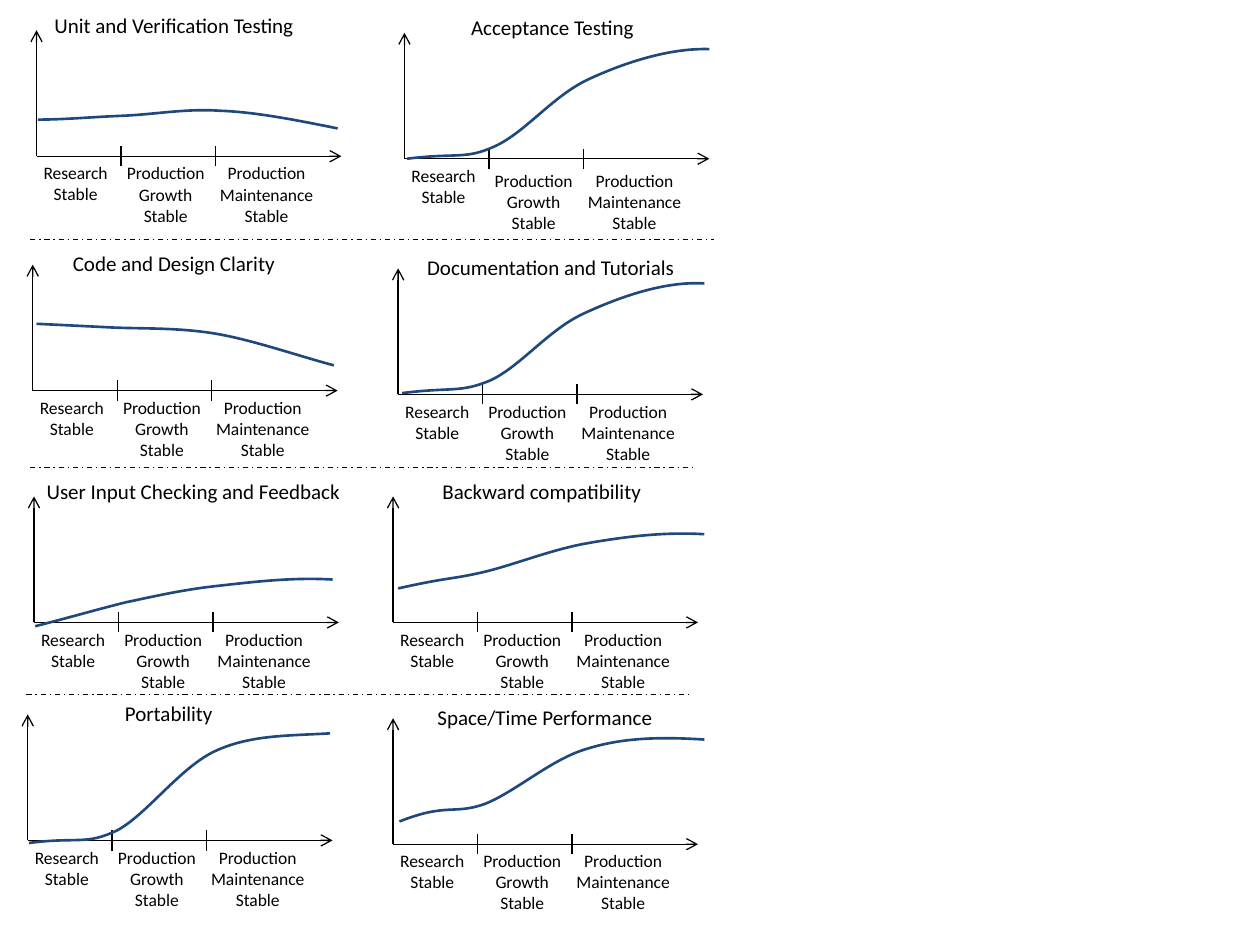
import pptx
import pptx.dml.color
import pptx.enum.dml
import pptx.enum.shapes
import pptx.enum.text
import pptx.oxml.ns
import pptx.oxml.xmlchemy
import pptx.util

# Content: one entry per chart, lengths in inches.
# origin = axis crossing; title = left, top, width; curve = start, then Bezier triples
CHARTS = [
    {"name": "Unit and Verification Testing", "origin": (0.29, 1.24), "title": (0.32, 0.05, 2.12),
     "curve": [(0.3, 0.95), (0.51, 0.95), (0.72, 0.93), (0.96, 0.92), (1.23, 0.91), (1.47, 0.86),
               (1.75, 0.88), (2.04, 0.89), (2.38, 0.96), (2.68, 1.02)]},
    {"name": "Acceptance Testing", "origin": (3.21, 1.26), "title": (3.63, 0.07, 1.51),
     "production_drop": 0.04,
     "curve": [(3.23, 1.26), (3.63, 1.21), (3.69, 1.27), (3.93, 1.16), (4.17, 1.05), (4.39, 0.76),
               (4.67, 0.63), (4.95, 0.5), (5.31, 0.38), (5.63, 0.39)]},
    {"name": "Code and Design Clarity", "origin": (0.26, 3.1), "title": (0.47, 1.94, 1.82),
     "curve": [(0.29, 2.57), (0.49, 2.58), (0.7, 2.59), (0.9, 2.6), (1.14, 2.61), (1.43, 2.6),
               (1.72, 2.65), (2.01, 2.7), (2.35, 2.82), (2.65, 2.9)]},
    {"name": "Documentation and Tutorials", "origin": (3.16, 3.13), "title": (3.28, 1.97, 2.18),
     "curve": [(3.19, 3.12), (3.59, 3.07), (3.65, 3.12), (3.89, 3.02), (4.13, 2.91), (4.35, 2.62),
               (4.63, 2.49), (4.91, 2.36), (5.27, 2.23), (5.59, 2.25)]},
    {"name": "User Input Checking and Feedback", "origin": (0.27, 4.94), "title": (0.26, 3.75, 2.55),
     "curve": [(0.28, 4.97), (0.63, 4.88), (0.76, 4.84), (1, 4.78), (1.24, 4.73), (1.45, 4.68),
               (1.73, 4.65), (2, 4.62), (2.32, 4.58), (2.64, 4.6)]},
    {"name": "Backward compatibility", "origin": (3.12, 4.94), "title": (3.4, 3.75, 1.8),
     "curve": [(3.16, 4.67), (3.56, 4.58), (3.58, 4.6), (3.84, 4.54), (4.09, 4.48), (4.38, 4.36),
               (4.67, 4.31), (4.96, 4.26), (5.27, 4.22), (5.59, 4.24)]},
    {"name": "Portability", "origin": (0.22, 6.67), "title": (0.89, 5.51, 0.9),
     "curve": [(0.23, 6.69), (0.62, 6.64), (0.68, 6.71), (0.93, 6.59), (1.17, 6.46), (1.43, 6.09),
               (1.71, 5.96), (1.99, 5.83), (2.3, 5.84), (2.62, 5.82)]},
    {"name": "Space/Time Performance", "origin": (3.12, 6.7), "title": (3.36, 5.54, 1.93),
     "curve": [(3.17, 6.52), (3.55, 6.37), (3.6, 6.47), (3.85, 6.38), (4.1, 6.28), (4.38, 6.02),
               (4.67, 5.94), (4.96, 5.85), (5.27, 5.85), (5.59, 5.87)]},
]
# Phase labels: lines, left offset from the origin, width, height
PHASES = [
    (["Research", "Stable"], -0.05, 0.72, 0.44),
    (["Production", "Growth", "Stable"], 0.61, 0.83, 0.61),
    (["Production", "Maintenance", "Stable"], 1.35, 0.95, 0.61),
]
# Row separators: left, right, y
SEPARATORS = [(0.24, 5.67, 1.9), (0.24, 5.51, 3.71), (0.21, 5.47, 5.51)]

AXIS_WIDTH, AXIS_HEIGHT = 2.42, 1
TICKS, TICK_REACH = (0.67, 1.42), 0.08
TITLE_HEIGHT, TITLE_SIZE, LABEL_SIZE = 0.3, 12, 10
FONT = "Calibri"
COLORS = {"ink": "000000", "curve": "1F497D"}

Inches = pptx.util.Inches
qn = pptx.oxml.ns.qn
OxmlElement = pptx.oxml.xmlchemy.OxmlElement

presentation = pptx.Presentation()
presentation.slide_width, presentation.slide_height = Inches(10), Inches(7.5)
slide = presentation.slides.add_slide(presentation.slide_layouts[6])


def style_line(line, color, width):
    line.color.rgb = pptx.dml.color.RGBColor.from_string(COLORS[color])
    line.width = pptx.util.Pt(width)


def add_line(start, end, arrow=False, dash=None):
    connector = slide.shapes.add_connector(
        pptx.enum.shapes.MSO_CONNECTOR.STRAIGHT, *(Inches(value) for value in (*start, *end)))
    style_line(connector.line, "ink", 0.75)
    if dash:
        connector.line.dash_style = dash
    properties = connector._element.spPr
    if arrow:
        tail = OxmlElement("a:tailEnd")
        tail.set("type", "arrow")
        properties.find(qn("a:ln")).append(tail)
    properties.append(OxmlElement("a:effectLst"))


def add_text(lines, left, top, width, height, size):
    box = slide.shapes.add_textbox(*(Inches(value) for value in (left, top, width, height)))
    frame = box.text_frame
    frame.word_wrap = False
    frame.auto_size = pptx.enum.text.MSO_AUTO_SIZE.SHAPE_TO_FIT_TEXT
    frame.text = "\n".join(lines)
    for paragraph in frame.paragraphs:
        paragraph.alignment = pptx.enum.text.PP_ALIGN.CENTER
        paragraph.font.name = FONT
        paragraph.font.size = pptx.util.Pt(size)
        paragraph.font.color.rgb = pptx.dml.color.RGBColor.from_string(COLORS["ink"])


def add_curve(points):
    start, *controls = [(Inches(x), Inches(y)) for x, y in points]
    builder = slide.shapes.build_freeform(*start)
    builder.add_line_segments(controls, close=False)
    shape = builder.convert_to_shape()
    shape.shadow.inherit = False
    shape.fill.background()
    style_line(shape.line, "curve", 1.5)
    # Each three straight segments become one cubic Bezier segment
    segments = list(shape._element.iter(qn("a:lnTo")))
    for index in range(0, len(segments), 3):
        bezier = OxmlElement("a:cubicBezTo")
        segments[index].addprevious(bezier)
        for segment in segments[index:index + 3]:
            bezier.append(segment[0])
            segment.getparent().remove(segment)


def add_line_chart(chart):
    x, y = chart["origin"]
    # Axes and phase ticks
    add_line((x, y), (x, y - AXIS_HEIGHT), arrow=True)
    add_line((x, y), (x + AXIS_WIDTH, y), arrow=True)
    for tick in TICKS:
        add_line((x + tick, y + TICK_REACH), (x + tick, y - TICK_REACH))
    # Phase labels and title
    for index, (lines, offset, width, height) in enumerate(PHASES):
        drop = chart.get("production_drop", 0) if index else 0
        add_text(lines, x + offset, y + drop, width, height, LABEL_SIZE)
    add_text([chart["name"]], *chart["title"], TITLE_HEIGHT, TITLE_SIZE)
    add_curve(chart["curve"])


for chart in CHARTS:
    add_line_chart(chart)

# Separators between the rows
for left, right, y in SEPARATORS:
    add_line((left, y), (right, y), dash=pptx.enum.dml.MSO_LINE.DASH_DOT)

presentation.save("out.pptx")
